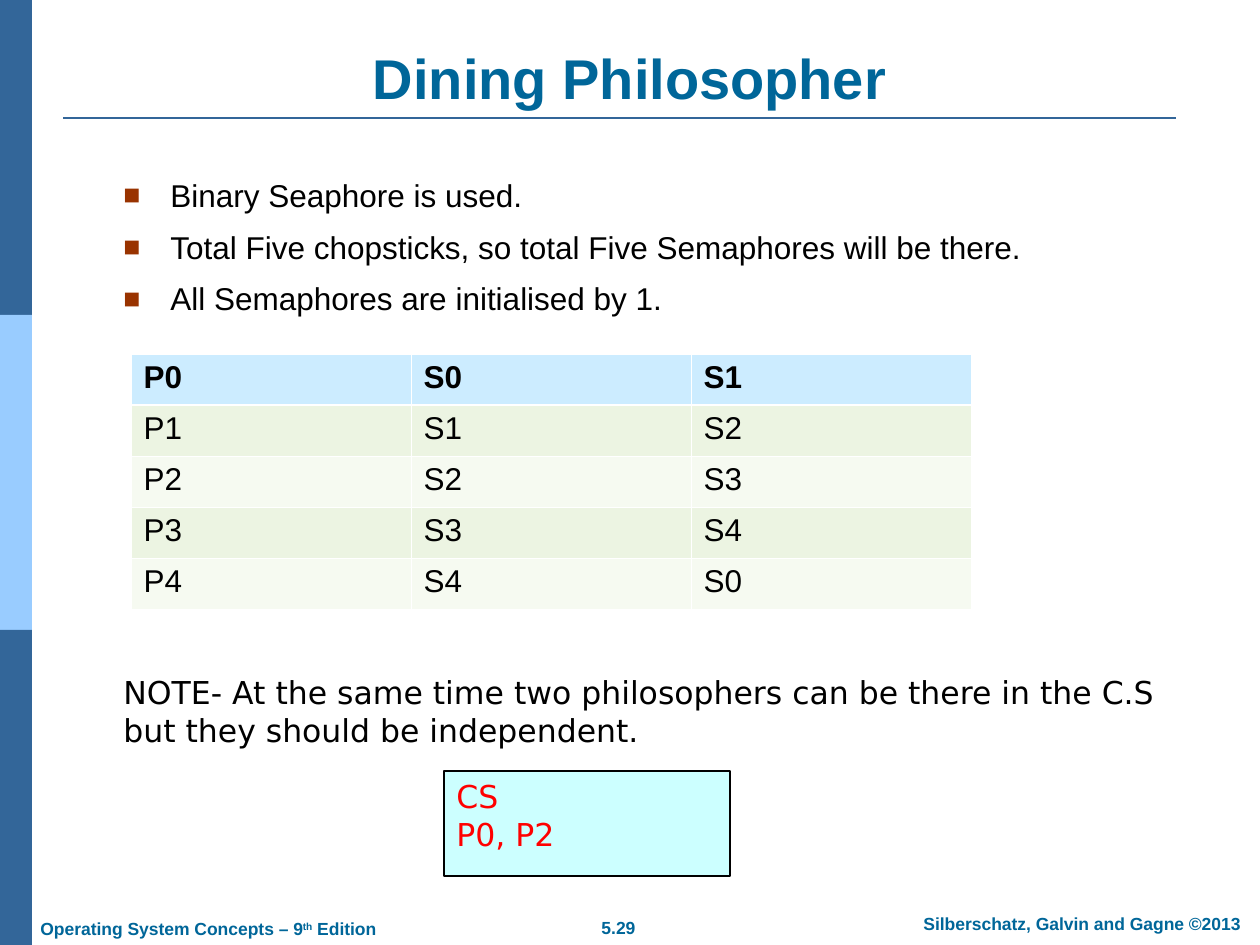
from dataclasses import dataclass, field

from lxml.etree import SubElement
from pptx import Presentation
from pptx.dml.color import RGBColor
from pptx.enum.shapes import MSO_CONNECTOR, MSO_SHAPE
from pptx.enum.text import MSO_ANCHOR as Anchor, MSO_AUTO_SIZE as AutoSize, PP_ALIGN as Align
from pptx.oxml.ns import qn
from pptx.util import Pt

PX = 914400 / 126  # EMU per px

BLUE = RGBColor(0x33, 0x66, 0x99)
SKY = RGBColor(0x99, 0xCC, 0xFF)
TEAL = RGBColor(0x00, 0x66, 0x99)
BLACK = RGBColor(0x00, 0x00, 0x00)
WHITE = RGBColor(0xFF, 0xFF, 0xFF)
RED = RGBColor(0xFF, 0x00, 0x00)
RUST = RGBColor(0x99, 0x33, 0x00)
AQUA = RGBColor(0xCC, 0xFF, 0xFF)
HEADER = RGBColor(0xCC, 0xEC, 0xFF)
BANDS = (RGBColor(0xF6, 0xFA, 0xF1), RGBColor(0xEC, 0xF4, 0xE2))

TITLE = dict(name="Arial", size=Pt(32), bold=True, color=TEAL)
FOOTER = dict(name="Arial", size=Pt(10), bold=True, color=TEAL)
BODY = dict(name="Arial", size=Pt(18), bold=False, color=BLACK)
HEAD = {**BODY, "bold": True}
NOTE = {**BODY, "name": "DejaVu Sans"}
CRITICAL = {**NOTE, "color": RED}


@dataclass
class Box:
    x: int
    y: int
    w: int
    h: int

    def emu(self) -> tuple:
        return tuple(px(v) for v in (self.x, self.y, self.w, self.h))


@dataclass
class Label:
    box: Box
    lines: list
    fmt: dict
    para: dict = field(default_factory=dict)


def px(n: int) -> int:
    return round(n * PX)


def add_run(p, text: str, fmt: dict):
    r = p.add_run()
    r.text = text
    for key, value in fmt.items():
        if key == "color":
            r.font.color.rgb = value
        else:
            setattr(r.font, key, value)
    return r


def write(tf, lines: list, fmt: dict, para: dict) -> None:
    tf.word_wrap = True
    for i, line in enumerate(lines):
        p = tf.add_paragraph() if i else tf.paragraphs[0]
        for key, value in para.items():
            setattr(p, key, value)
        add_run(p, line, fmt)


def add_label(slide, label: Label):
    tf = slide.shapes.add_textbox(*label.box.emu()).text_frame
    write(tf, label.lines, label.fmt, label.para)
    return tf


def add_rect(slide, box: Box, fill: RGBColor):
    sp = slide.shapes.add_shape(MSO_SHAPE.RECTANGLE, *box.emu())
    sp.shadow.inherit = False
    sp.fill.solid()
    sp.fill.fore_color.rgb = fill
    sp.line.fill.background()
    return sp


def add_bullet(p) -> None:
    pPr = p._p.get_or_add_pPr()
    pPr.set("marL", str(px(47)))
    pPr.set("indent", str(-px(47)))
    color = SubElement(pPr, qn("a:buClr"))
    SubElement(color, qn("a:srgbClr"), val=str(RUST))
    SubElement(pPr, qn("a:buSzPct"), val="90000")
    SubElement(pPr, qn("a:buFont"), typeface="Arial")
    SubElement(pPr, qn("a:buChar"), char="■")


def set_borders(cell, widths: dict) -> None:
    tcPr = cell._tc.get_or_add_tcPr()
    for i, (side, width) in enumerate(widths.items()):
        ln = tcPr.makeelement(qn(f"a:ln{side}"), w=str(Pt(width)))
        fill = SubElement(ln, qn("a:solidFill"))
        SubElement(fill, qn("a:srgbClr"), val=str(WHITE))
        tcPr.insert(i, ln)


def add_semaphore_table(slide, box: Box, rows: list) -> None:
    table = slide.shapes.add_table(len(rows), len(rows[0]), *box.emu()).table
    for i, row in enumerate(rows):
        for j, text in enumerate(row):
            cell = table.cell(i, j)
            write(cell.text_frame, [text], BODY if i else HEAD, {})
            cell.fill.solid()
            cell.fill.fore_color.rgb = BANDS[i % 2] if i else HEADER
            set_borders(cell, {"L": 0.45, "R": 0.45,
                               "T": 1.47 if i == 1 else 0.45,
                               "B": 1.47 if i == 0 else 0.45})


def main() -> None:
    prs = Presentation()
    prs.slide_width, prs.slide_height = px(1260), px(945)
    slide = prs.slides.add_slide(prs.slide_layouts[5])

    # Side stripe and title rule
    for i, color in enumerate((BLUE, SKY, BLUE)):
        add_rect(slide, Box(0, 315 * i, 32, 315), color)
    rule = slide.shapes.add_connector(MSO_CONNECTOR.STRAIGHT, px(63), px(118), px(1176), px(118))
    rule.line.color.rgb = BLUE
    rule.line.width = Pt(1.5)
    SubElement(rule._element.spPr, qn("a:effectLst"))

    # Footer
    footer = {"space_before": Pt(6.2)}
    centred = {**footer, "alignment": Align.CENTER}
    add_label(slide, Label(Box(556, 911, 125, 34), ["5.29"], FOOTER, centred))
    add_label(slide, Label(Box(895, 907, 374, 34), ["Silberschatz, Galvin and Gagne ©2013"],
                           FOOTER, centred))
    tf = add_label(slide, Label(Box(28, 912, 362, 34), ["Operating System Concepts – 9"],
                                FOOTER, footer))
    p = tf.paragraphs[0]
    add_run(p, "th", FOOTER).font._element.set("baseline", "30000")
    add_run(p, " Edition", FOOTER)

    # Title
    title = slide.shapes.title
    title.left, title.top, title.width, title.height = Box(63, 38, 1134, 79).emu()
    title.text_frame.auto_size = AutoSize.NONE
    title.text_frame.vertical_anchor = Anchor.BOTTOM
    write(title.text_frame, ["Dining Philosopher"], TITLE, {"alignment": Align.CENTER})

    # Bullets
    tf = add_label(slide, Label(Box(111, 170, 1134, 625), [
        "Binary Seaphore is used.",
        "Total Five chopsticks, so total Five Semaphores will be there.",
        "All Semaphores are initialised by 1.",
    ], BODY, {"space_before": Pt(7.9)}))
    for p in tf.paragraphs:
        add_bullet(p)

    # Each philosopher needs two neighbouring semaphores
    rows = [(f"P{i}", f"S{i}", f"S{(i + 1) % 5}") for i in range(5)]
    add_semaphore_table(slide, Box(131, 354, 840, 255), rows)

    # Note and critical section
    add_label(slide, Label(Box(111, 667, 1068, 88), [
        "NOTE- At the same time two philosophers can be there in the C.S "
        "but they should be independent."], NOTE))
    sp = add_rect(slide, Box(444, 771, 286, 105), AQUA)
    sp.line.color.rgb = BLACK
    sp.line.width = Pt(0.75)
    sp.text_frame.vertical_anchor = Anchor.TOP
    write(sp.text_frame, ["CS", "P0, P2"], CRITICAL, {"alignment": Align.LEFT})

    prs.save("out.pptx")


if __name__ == "__main__":
    main()
